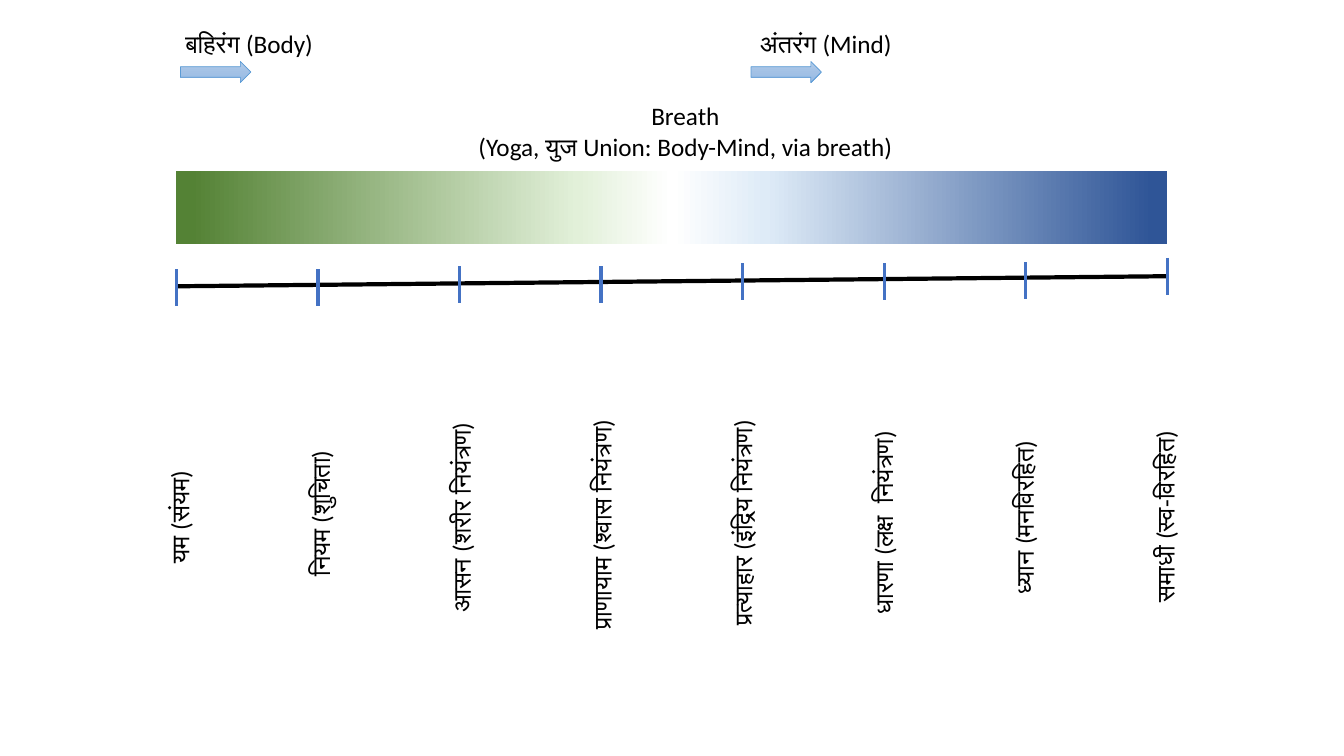
from lxml.etree import SubElement
from pptx import Presentation
from pptx.dml.color import RGBColor
from pptx.enum.shapes import MSO_CONNECTOR, MSO_SHAPE
from pptx.enum.text import MSO_AUTO_SIZE, PP_ALIGN
from pptx.oxml.ns import qn
from pptx.util import Pt

# (label, label length, tick top)
LIMBS = [
    ("यम (संयम)", 103.7, 192.2),
    ("नियम (शुचिता)", 122.4, 192.2),
    ("आसन (शरीर नियंत्रण)", 174.2, 190.1),
    ("प्राणायाम (श्वास नियंत्रण)", 197.3, 190.1),
    ("प्रत्याहार (इंद्रिय नियंत्रण)", 192.2, 187.9),
    ("धारणा (लक्ष  नियंत्रण)", 176.4, 187.9),
    ("ध्यान (मनविरहित)", 147.6, 187.2),
    ("समाधी (स्व-विरहित)", 159.1, 184.3),
]
DIRECTIONS = [("बहिरंग (Body)", 125.3, 119.5, 128.9), ("अंतरंग (Mind)", 535.7, 121, 536.4)]
BREATH = ["Breath", "(Yoga, युज Union: Body-Mind, via breath)"]
BODY_STOPS = [(0, "FFFFFF"), (19, "E2F0D9"), (97, "548235")]
MIND_STOPS = [(0, "FFFFFF"), (19, "DEEBF7"), (97, "2F5597")]
ARROW_STOPS = [(0, "B1CBE9"), (50, "A3C1E5"), (100, "93B9E4")]

LEFT, RIGHT = 126, 833.8
HALF = (RIGHT - LEFT) / 2
TICK_STEP = (RIGHT - LEFT) / (len(LIMBS) - 1)
TICK_HEIGHT = 26.2
LABEL_X, LABEL_STEP, LABEL_Y = 128.2, 100.55, 357.8
LINE_HEIGHT = 29.1


def color(value):
    return RGBColor.from_string(value)


def add_gradient_shape(slide, preset, box, stops, angle=0, outline=None):
    shape = slide.shapes.add_shape(preset, *map(Pt, box))
    shape.shadow.inherit = False
    shape.fill.gradient()
    shape.fill.gradient_angle = angle
    stop_list = shape.fill._xPr.find(qn("a:gradFill")).find(qn("a:gsLst"))
    for old_stop in list(stop_list):
        stop_list.remove(old_stop)
    for percent, value in stops:
        stop = SubElement(stop_list, qn("a:gs"), pos=str(percent * 1000))
        SubElement(stop, qn("a:srgbClr"), val=value)
    if outline:
        shape.line.color.rgb = color(outline)
        shape.line.width = Pt(0.5)
    else:
        shape.line.fill.background()
    return shape


def add_line(slide, start, end, value, width):
    line = slide.shapes.add_connector(MSO_CONNECTOR.STRAIGHT, *map(Pt, start + end))
    line.line.color.rgb = color(value)
    line.line.width = Pt(width)
    SubElement(line._element.spPr, qn("a:effectLst"))


def add_text(slide, box, lines, align=PP_ALIGN.LEFT, rotation=0):
    text_box = slide.shapes.add_textbox(*map(Pt, box))
    text_box.rotation = rotation
    frame = text_box.text_frame
    frame.word_wrap = False
    frame.auto_size = MSO_AUTO_SIZE.SHAPE_TO_FIT_TEXT
    frame.text = "\n".join(lines)
    for paragraph in frame.paragraphs:
        paragraph.alignment = align
        paragraph.font.name = "Calibri"
        paragraph.font.size = Pt(18)
        paragraph.font.color.rgb = color("000000")


def main():
    """Build the slide of the eight limbs of yoga from body to mind."""
    deck = Presentation()
    deck.slide_width, deck.slide_height = Pt(960), Pt(540)
    slide = deck.slides.add_slide(deck.slide_layouts[6])

    body_bar = add_gradient_shape(slide, MSO_SHAPE.RECTANGLE, (LEFT, 122.4, HALF, 52), BODY_STOPS)
    body_bar.rotation = 180
    add_gradient_shape(slide, MSO_SHAPE.RECTANGLE, (LEFT + HALF, 122.4, HALF, 52), MIND_STOPS)

    add_line(slide, (LEFT, 204.5), (RIGHT, 197.3), "000000", 3)
    for index, (label, length, top) in enumerate(LIMBS):
        tick_x = LEFT + index * TICK_STEP
        add_line(slide, (tick_x, top), (tick_x, top + TICK_HEIGHT), "4472C4", 2.25)
        label_x = LABEL_X + index * LABEL_STEP
        box = (label_x - length / 2, LABEL_Y - LINE_HEIGHT / 2, length, LINE_HEIGHT)
        add_text(slide, box, [label], rotation=270)

    add_text(slide, (330.5, 68.4, 318.2, 50.9), BREATH, PP_ALIGN.CENTER)
    for direction, left, width, arrow_left in DIRECTIONS:
        add_text(slide, (left, 16.6, width, LINE_HEIGHT), [direction])
        arrow_box = (arrow_left, 43.9, 50.4, 15.1)
        add_gradient_shape(slide, MSO_SHAPE.RIGHT_ARROW, arrow_box, ARROW_STOPS, 270, "5B9BD5")

    deck.save("out.pptx")


if __name__ == "__main__":
    main()
